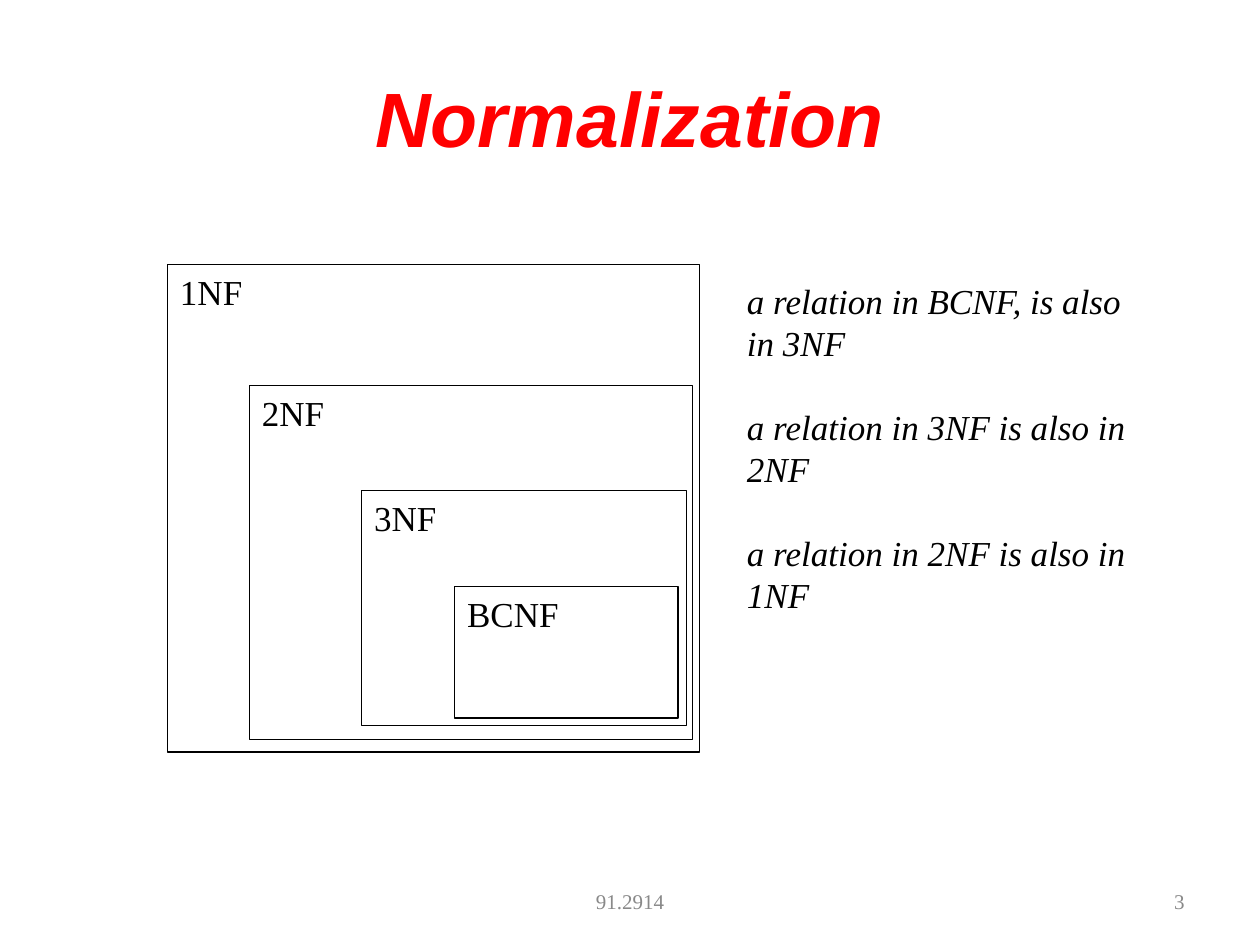
from pptx import Presentation
from pptx import util as u
from pptx.dml.color import RGBColor
from pptx.enum import shapes, text

BLACK = RGBColor(0, 0, 0)
RED = RGBColor(0xFF, 0, 0)
GRAY = RGBColor(0x89, 0x89, 0x89)
SERIF = "Times New Roman"
LEFT, MID, RIGHT = text.PP_ALIGN.LEFT, text.PP_ALIGN.CENTER, text.PP_ALIGN.RIGHT
WIDE, HIGH = 10, 7.5

# Nested forms, inner to outer: label and box as left, top, width, height
FORMS = [
    ("BCNF", (0.54, 0.66, 0.42, 0.27)),
    ("3NF", (0.365, 0.463, 0.611, 0.483)),
    ("2NF", (0.154, 0.248, 0.834, 0.726)),
    ("1NF", (0, 0, 1, 1)),
]
RULES = [
    "a relation in BCNF, is also in 3NF",
    "a relation in 3NF is also in 2NF",
    "a relation in 2NF is also in 1NF",
]


def inch(box):
    return [u.Inches(v) for v in box]


def within(box, share):
    """Turn shares of a box into a box on the slide."""
    x, y, w, h = box
    return x + share[0] * w, y + share[1] * h, share[2] * w, share[3] * h


def write(frame, lines, size, color, align=LEFT, font=SERIF, bold=False,
          slant=False, pitch=None, gap=0):
    frame.word_wrap = True
    frame.text = "\n".join(lines)
    for i, para in enumerate(frame.paragraphs):
        para.alignment = align
        para.space_before = u.Pt(gap if i else 0)
        if pitch:
            para.line_spacing = u.Pt(pitch)
        face = para.font
        face.name, face.size = font, u.Pt(size)
        face.bold, face.italic = bold, slant
        face.color.rgb = color


def add_title(slide, box):
    title = slide.shapes.title
    title.left, title.top, title.width, title.height = inch(box)
    title.text_frame.vertical_anchor = text.MSO_ANCHOR.MIDDLE
    write(title.text_frame, ["Normalization"], 44, RED, MID, "Arial", True, True)


def add_forms(slide, box):
    for label, share in FORMS:
        rect = slide.shapes.add_shape(
            shapes.MSO_SHAPE.RECTANGLE, *inch(within(box, share)))
        rect.shadow.inherit = False
        rect.fill.background()
        rect.line.color.rgb = BLACK
        rect.line.width = u.Pt(0.75)
        rect.text_frame.vertical_anchor = text.MSO_ANCHOR.TOP
        write(rect.text_frame, [label], 20, BLACK, pitch=24)


def add_rules(slide, box):
    frame = slide.shapes.add_textbox(*inch(box)).text_frame
    write(frame, RULES, 20, BLACK, slant=True, pitch=24, gap=24)


def add_footer(slide, box):
    # Course number in the middle, page number at the right
    parts = [("91.2914", MID, (0.324, 0, 0.352, 1)),
             ("3", RIGHT, (0.741, 0, 0.259, 1))]
    for words, align, share in parts:
        frame = slide.shapes.add_textbox(*inch(within(box, share))).text_frame
        frame.vertical_anchor = text.MSO_ANCHOR.MIDDLE
        write(frame, [words], 12, GRAY, align)


def main():
    deck = Presentation()
    deck.slide_width, deck.slide_height = u.Inches(WIDE), u.Inches(HIGH)
    slide = deck.slides.add_slide(deck.slide_layouts[5])
    edge = 0.05 * WIDE
    span = WIDE - 2 * edge
    add_title(slide, (edge, 0.04 * HIGH, span, HIGH / 6))
    add_footer(slide, (edge, 6.95, span, 0.4))
    add_forms(slide, (1.33, 2.1, 4.22, 3.87))
    add_rules(slide, (5.83, 2.17, 3.25, 3.65))
    deck.save("out.pptx")


if __name__ == "__main__":
    main()
